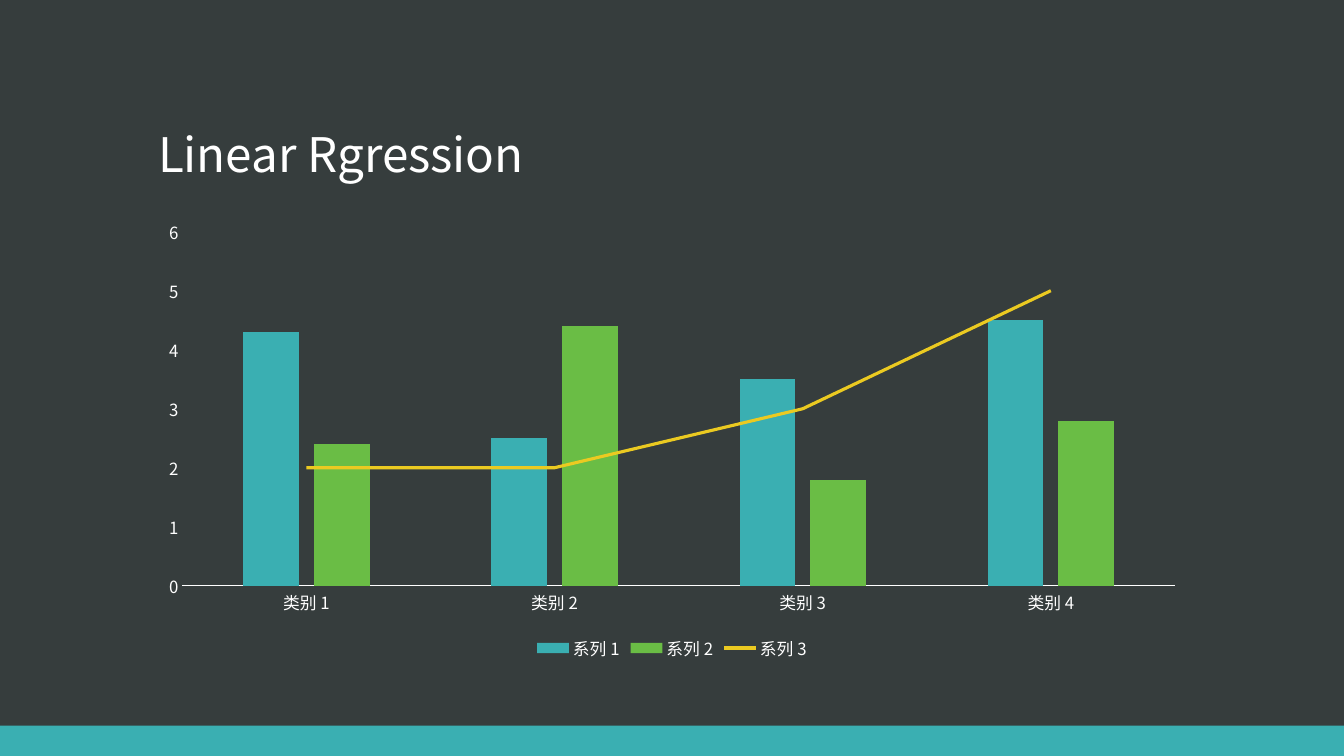
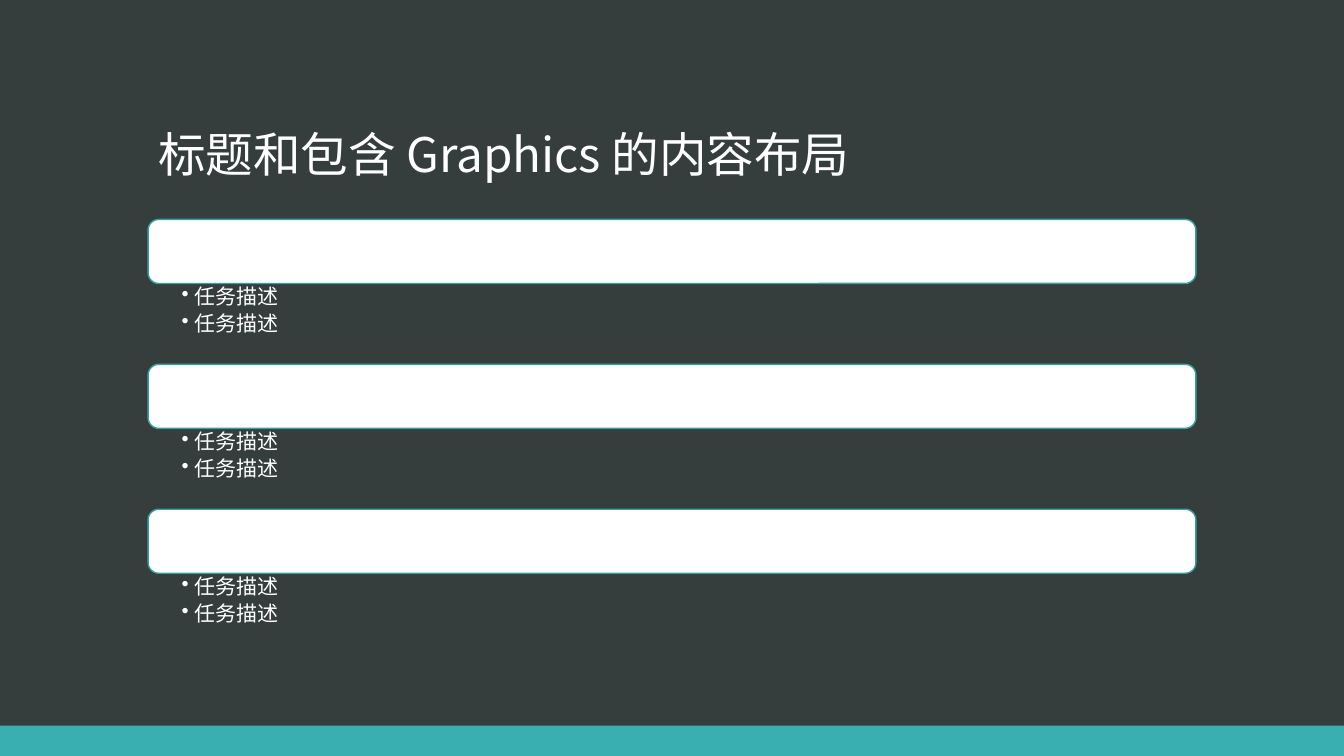
from dataclasses import dataclass

from lxml.etree import SubElement
from pptx import Presentation
from pptx.chart.data import CategoryChartData
from pptx.dml.color import RGBColor
from pptx.enum.chart import XL_CHART_TYPE as ChartType
from pptx.enum.chart import XL_LEGEND_POSITION as LegendPos
from pptx.enum.chart import XL_MARKER_STYLE as Marker
from pptx.enum.chart import XL_TICK_MARK as Tick
from pptx.enum.shapes import MSO_SHAPE as Shape
from pptx.enum.text import MSO_ANCHOR as Anchor
from pptx.enum.text import MSO_AUTO_SIZE as AutoSize
from pptx.enum.text import PP_ALIGN as Align
from pptx.oxml.ns import qn
from pptx.util import Emu, Pt

PX = 9525  # EMU in one pixel at 96 to the inch


@dataclass(frozen=True)
class Theme:
    back: RGBColor = RGBColor(0x36, 0x3D, 0x3D)
    teal: RGBColor = RGBColor(0x3A, 0xAF, 0xB2)
    outline: RGBColor = RGBColor(0x35, 0x9F, 0xA2)
    green: RGBColor = RGBColor(0x6A, 0xBD, 0x45)
    yellow: RGBColor = RGBColor(0xEB, 0xCA, 0x21)
    white: RGBColor = RGBColor(0xFF, 0xFF, 0xFF)
    font: str = "Noto Sans CJK SC"
    chart_font: str = "Calibri"
    title_size: int = 34
    body_size: int = 15
    label_size: int = 12
    chart_size: int = 10


@dataclass(frozen=True)
class Box:
    left: int
    top: int
    width: int
    height: int

    def emu(self) -> tuple[Emu, ...]:
        return tuple(Emu(v * PX) for v in (self.left, self.top, self.width, self.height))


@dataclass(frozen=True)
class Series:
    name: str
    values: tuple[float, ...]
    color: RGBColor


@dataclass(frozen=True)
class Task:
    points: tuple[str, ...]


T = Theme()
SLIDE = Box(0, 0, 1280, 720)
BAND = Box(0, 691, 1280, 29)
TITLE = Box(141, 49, 998, 130)
CHART = Box(141, 200, 998, 433)
BAR = Box(141, 209, 998, 61)
LIST_HEIGHT = 77

CATEGORIES = [f"类别 {n}" for n in range(1, 5)]
COLUMNS = (
    Series("系列 1", (4.3, 2.5, 3.5, 4.5), T.teal),
    Series("系列 2", (2.4, 4.4, 1.8, 2.8), T.green),
)
LINE = Series("系列 3", (2, 2, 3, 5), T.yellow)
TASKS = (Task(("任务描述", "任务描述")),) * 3


def style_font(font, size: int, name: str = T.font) -> None:
    font.name = name
    font.size = Pt(size)
    font.color.rgb = T.white


def set_east_asian(root) -> None:
    """Use the Latin typeface for Chinese characters too."""
    for latin in list(root.iter(qn("a:latin"))):
        ea = SubElement(latin.getparent(), qn("a:ea"), typeface=latin.get("typeface"))
        latin.addnext(ea)


def add_rect(s, box: Box, kind: Shape, fill: RGBColor):
    sp = s.shapes.add_shape(kind, *box.emu())
    sp.shadow.inherit = False
    sp.fill.solid()
    sp.fill.fore_color.rgb = fill
    sp.line.fill.background()
    return sp


# Shared look: background and band on the layout, title on each slide
def style_layout(layout, s) -> None:
    fill = layout.background.fill
    fill.solid()
    fill.fore_color.rgb = T.back
    band = add_rect(s, BAND, Shape.RECTANGLE, T.teal)
    layout.shapes.element.insert(2, band.element)


def set_title(s, text: str) -> None:
    sp = s.shapes.title
    sp.left, sp.top, sp.width, sp.height = TITLE.emu()
    tf = sp.text_frame
    tf.text = text
    tf.auto_size = AutoSize.NONE
    tf.vertical_anchor = Anchor.BOTTOM
    p = tf.paragraphs[0]
    p.alignment = Align.LEFT
    p.line_spacing = 0.9
    style_font(p.runs[0].font, T.title_size)
    set_east_asian(sp.element)


# Combined column and line chart
def move_last_series_to_line(chart) -> None:
    bars = next(chart.element.iter(qn("c:barChart")))
    ser = bars.findall(qn("c:ser"))[-1]
    for bar_only in ser.findall(qn("c:invertIfNegative")):
        ser.remove(bar_only)
    lines = bars.makeelement(qn("c:lineChart"))
    bars.addnext(lines)
    SubElement(lines, qn("c:grouping"), val="standard")
    SubElement(lines, qn("c:varyColors"), val="0")
    lines.append(ser)
    SubElement(lines, qn("c:marker"), val="1")
    for axis in bars.findall(qn("c:axId")):
        SubElement(lines, qn("c:axId"), val=axis.get("val"))


def style_axes(chart) -> None:
    for axis in (chart.category_axis, chart.value_axis):
        axis.major_tick_mark = axis.minor_tick_mark = Tick.NONE
        axis.has_major_gridlines = False
        style_font(axis.tick_labels.font, T.label_size)
    line = chart.category_axis.format.line
    line.color.rgb = T.white
    line.width = Pt(0.75)
    values = chart.value_axis
    values.format.line.fill.background()
    values.minimum_scale, values.maximum_scale, values.major_unit = 0, 6, 1


def add_combined_chart(s) -> None:
    data = CategoryChartData()
    data.categories = CATEGORIES
    for item in (*COLUMNS, LINE):
        data.add_series(item.name, item.values)
    chart = s.shapes.add_chart(ChartType.COLUMN_CLUSTERED, *CHART.emu(), data).chart
    chart.has_title = False
    style_font(chart.font, T.chart_size, T.chart_font)
    move_last_series_to_line(chart)

    columns, lines = chart.plots
    columns.vary_by_categories = False
    columns.gap_width, columns.overlap = 219, -27
    for series, item in zip(columns.series, COLUMNS):
        series.format.fill.solid()
        series.format.fill.fore_color.rgb = item.color
    trend = lines.series[0]
    trend.smooth = False
    trend.marker.style = Marker.NONE
    trend.format.line.color.rgb = LINE.color
    trend.format.line.width = Pt(2.25)

    style_axes(chart)
    chart.has_legend = True
    chart.legend.position = LegendPos.BOTTOM
    chart.legend.include_in_layout = False
    style_font(chart.legend.font, T.label_size)
    set_east_asian(chart.element)


# Task bars with bulleted lists
def set_bullet(p) -> None:
    p.level = 1
    p.line_spacing = 0.9
    pPr = p._p.get_or_add_pPr()
    pPr.set("marL", str(12 * PX))
    pPr.set("indent", str(-12 * PX))
    after = SubElement(pPr, qn("a:spcAft"))
    SubElement(after, qn("a:spcPct"), val="20000")
    SubElement(pPr, qn("a:buChar"), char="•")


def add_task(s, task: Task, top: int) -> None:
    bar = add_rect(s, Box(BAR.left, top, BAR.width, BAR.height), Shape.ROUNDED_RECTANGLE, T.white)
    bar.line.color.rgb = T.outline
    bar.line.width = Pt(1)

    box = Box(BAR.left, top + BAR.height, BAR.width, LIST_HEIGHT)
    sp = s.shapes.add_textbox(*box.emu())
    tf = sp.text_frame
    tf.word_wrap = True
    tf.margin_left, tf.margin_right = Emu(32 * PX), Emu(14 * PX)
    tf.margin_top = tf.margin_bottom = Emu(3 * PX)
    tf.text = "\n".join(task.points)
    for p in tf.paragraphs:
        set_bullet(p)
        style_font(p.runs[0].font, T.body_size)
    set_east_asian(sp.element)


def main() -> None:
    prs = Presentation()
    prs.slide_width, prs.slide_height = SLIDE.emu()[2:]
    layout = prs.slide_layouts[5]

    # Slide 1: chart
    s = prs.slides.add_slide(layout)
    style_layout(layout, s)
    set_title(s, "Linear Rgression")
    add_combined_chart(s)

    # Slide 2: tasks
    s = prs.slides.add_slide(layout)
    set_title(s, "标题和包含 Graphics 的内容布局")
    for i, task in enumerate(TASKS):
        add_task(s, task, BAR.top + i * (BAR.height + LIST_HEIGHT))

    prs.save("out.pptx")


if __name__ == "__main__":
    main()
